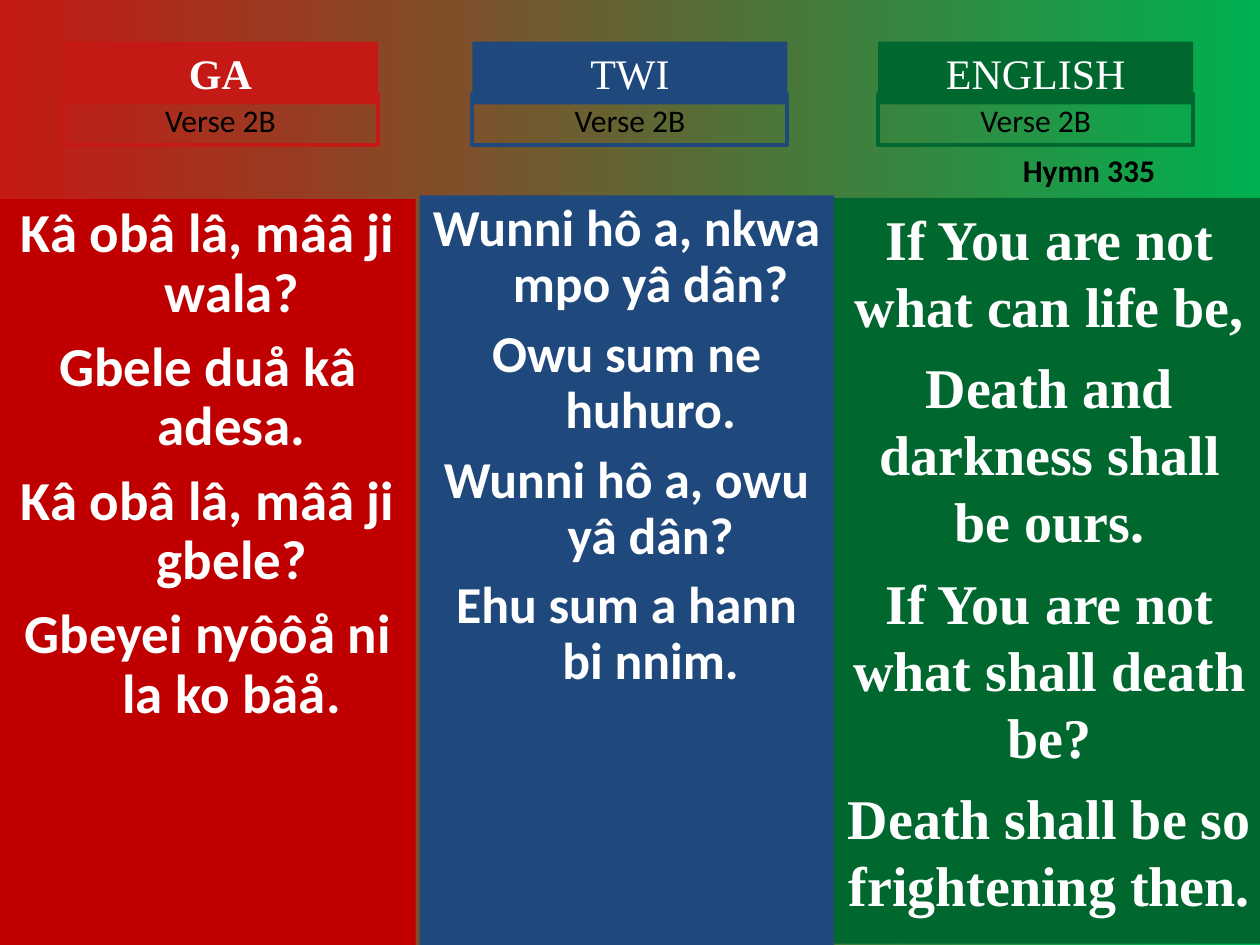
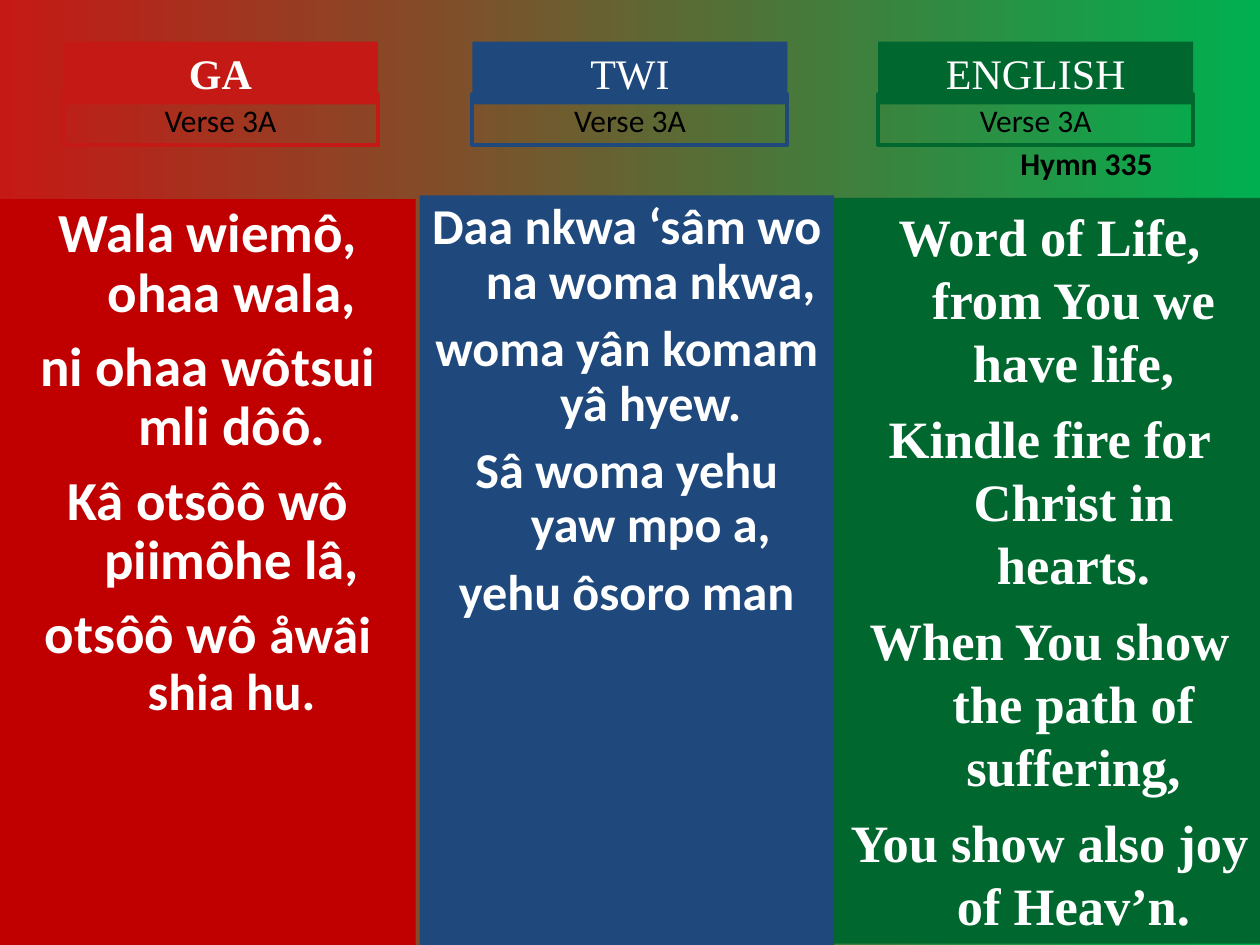
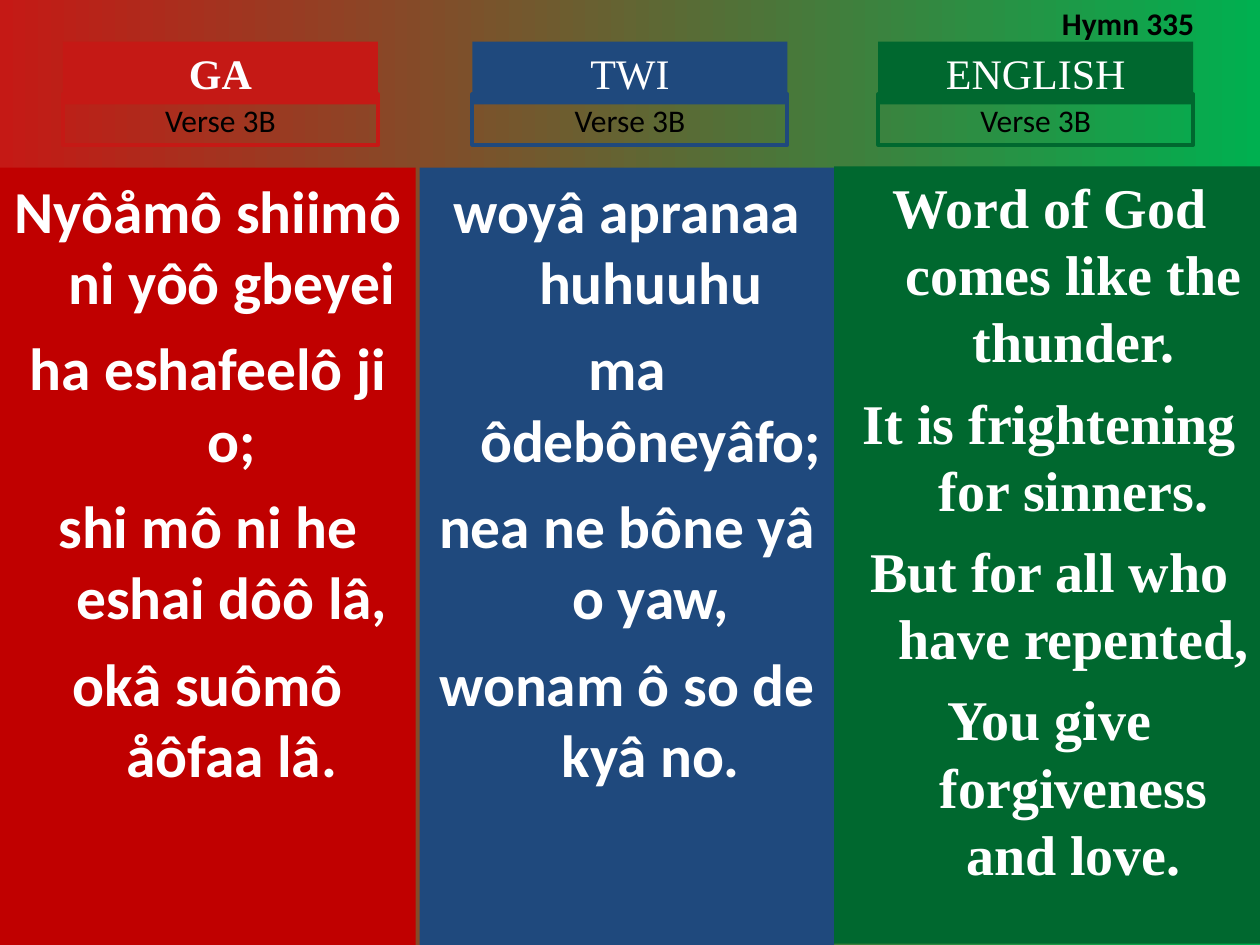
from dataclasses import dataclass

from pptx import Presentation
from pptx.dml.color import RGBColor
from pptx.enum.shapes import MSO_SHAPE
from pptx.enum.text import MSO_ANCHOR, MSO_AUTO_SIZE, PP_ALIGN
from pptx.presentation import Presentation as Deck
from pptx.shapes.autoshape import Shape
from pptx.slide import Slide
from pptx.util import Inches, Pt

SANS = "Calibri"
SERIF = "Times New Roman"
WHITE = "FFFFFF"
BLACK = "000000"
RED = "C51915"
DARK_RED = "C00000"
BLUE = "1F497D"
DARK_GREEN = "00682F"
BRIGHT_GREEN = "00B050"
HANGING = 0.38


@dataclass(frozen=True)
class Column:
    language: str
    label_left: float
    label_color: str
    label_bold: bool
    panel_left: float
    panel_width: float
    panel_bottom: float
    panel_color: str
    font: str


@dataclass(frozen=True)
class Lyrics:
    top: float
    size: float
    space: float
    lines: tuple[str, ...]
    line_spacing: float = 1.0
    hanging: float = HANGING
    small_ending: str = ""
    small_size: float = 29.6


@dataclass(frozen=True)
class Verse:
    name: str
    hymn_left: float
    hymn_top: float
    lyrics: tuple[Lyrics, Lyrics, Lyrics]


COLUMNS = (
    Column("GA", 0.5, RED, True, 0, 3.3, 7.5, DARK_RED, SANS),
    Column("TWI", 3.75, BLUE, False, 3.33, 3.29, 7.5, BLUE, SANS),
    Column("ENGLISH", 6.97, DARK_GREEN, False, 6.62, 3.42, 7.49, DARK_GREEN, SERIF),
)

VERSES = (
    Verse("Verse 2B", 8.02, 1.15, (
        Lyrics(1.58, 31.4, 8.5, (
            "Kâ obâ lâ, mââ ji wala?",
            "Gbele duå kâ adesa.",
            "Kâ obâ lâ, mââ ji gbele?",
            "Gbeyei nyôôå ni la ko bâå.",
        ), line_spacing=0.9),
        Lyrics(1.55, 29.6, 8, (
            "Wunni hô a, nkwa mpo yâ dân?",
            "Owu sum ne huhuro.",
            "Wunni hô a, owu yâ dân?",
            "Ehu sum a hann bi nnim.",
        ), line_spacing=0.9),
        Lyrics(1.57, 32, 8, (
            "If You are not what can life be,",
            "Death and darkness shall be ours.",
            "If You are not what shall death be?",
            "Death shall be so frightening then.",
        ), hanging=0),
    )),
    Verse("Verse 3A", 8, 1.09, (
        Lyrics(1.58, 31.4, 8.5, (
            "Wala wiemô, ohaa wala,",
            "ni ohaa wôtsui mli dôô.",
            "Kâ otsôô wô piimôhe lâ,",
            "otsôô wô ",
        ), line_spacing=0.9, small_ending="åwâi shia hu."),
        Lyrics(1.55, 28.7, 7.7, (
            "Daa nkwa ‘sâm wo na woma nkwa,",
            "woma yân komam yâ hyew.",
            "Sâ woma yehu yaw mpo a,",
            "yehu ôsoro man",
        ), line_spacing=0.9),
        Lyrics(1.57, 30, 7.5, (
            "Word of Life, from You we have life,",
            "Kindle fire for Christ in hearts.",
            "When You show the path of suffering,",
            "You show also joy of Heav’n.",
        )),
    )),
    Verse("Verse 3B", 8.33, -0.02, (
        Lyrics(1.33, 34, 8.5, (
            "Nyôåmô shiimô ni yôô gbeyei",
            "ha eshafeelô ji o;",
            "shi mô ni he eshai dôô lâ,",
            "okâ suômô åôfaa lâ.",
        )),
        Lyrics(1.33, 34, 8.5, (
            "woyâ apranaa huhuuhu",
            "ma ôdebôneyâfo;",
            "nea ne bône yâ o yaw,",
            "wonam ô so de kyâ no.",
        )),
        Lyrics(1.32, 32, 8, (
            "Word of God comes like the thunder.",
            "It is frightening for sinners.",
            "But for all who have repented,",
            "You give forgiveness and love.",
        )),
    )),
)


def rgb(color: str) -> RGBColor:
    return RGBColor.from_string(color)


def paint_background(deck: Deck) -> None:
    """Give every slide the red to green gradient through the master."""
    fill = deck.slide_master.background.fill
    fill.gradient()
    fill.gradient_angle = 0
    for stop, color in zip(fill.gradient_stops, (RED, BRIGHT_GREEN)):
        stop.color.rgb = rgb(color)


def add_box(page: Slide, left: float, top: float, width: float, height: float,
            fill: str = "", line: str = "") -> Shape:
    box = page.shapes.add_shape(MSO_SHAPE.RECTANGLE, Inches(left), Inches(top),
                                Inches(width), Inches(height))
    box.shadow.inherit = False
    if fill:
        box.fill.solid()
        box.fill.fore_color.rgb = rgb(fill)
    else:
        box.fill.background()
    if line:
        box.line.color.rgb = rgb(line)
        box.line.width = Pt(2.25)
    else:
        box.line.fill.background()
    box.text_frame.vertical_anchor = MSO_ANCHOR.TOP
    return box


def style(font, name: str, size: float, color: str, bold: bool) -> None:
    font.name = name
    font.size = Pt(size)
    font.color.rgb = rgb(color)
    font.bold = bold


def write_label(box: Shape, text: str, name: str, size: float, color: str,
                bold: bool = False, align: PP_ALIGN = PP_ALIGN.CENTER) -> None:
    frame = box.text_frame
    frame.word_wrap = True
    frame.auto_size = MSO_AUTO_SIZE.SHAPE_TO_FIT_TEXT
    para = frame.paragraphs[0]
    para.text = text
    para.alignment = align
    style(para.font, name, size, color, bold)


def write_lyrics(box: Shape, lyrics: Lyrics, font_name: str) -> None:
    frame = box.text_frame
    frame.word_wrap = True
    for index, line in enumerate(lyrics.lines):
        para = frame.add_paragraph() if index else frame.paragraphs[0]
        para.text = line
        para.alignment = PP_ALIGN.CENTER
        para.line_spacing = lyrics.line_spacing
        if index:
            para.space_before = Pt(lyrics.space)
        if lyrics.hanging:
            properties = para._p.get_or_add_pPr()
            properties.set("marL", str(Inches(lyrics.hanging)))
            properties.set("indent", str(-Inches(lyrics.hanging)))
        style(para.font, font_name, lyrics.size, WHITE, True)
    if lyrics.small_ending:
        span = para.add_run()
        span.text = lyrics.small_ending
        span.font.size = Pt(lyrics.small_size)


def add_column(page: Slide, column: Column, lyrics: Lyrics, verse_name: str) -> None:
    panel = add_box(page, column.panel_left, lyrics.top, column.panel_width,
                    column.panel_bottom - lyrics.top, fill=column.panel_color)
    write_lyrics(panel, lyrics, column.font)
    heading = add_box(page, column.label_left, 0.33, 2.5, 0.5, fill=column.label_color)
    write_label(heading, column.language, SERIF, 24, WHITE, column.label_bold)
    verse_box = add_box(page, column.label_left, 0.75, 2.5, 0.4, line=column.label_color)
    write_label(verse_box, verse_name, SANS, 18, BLACK)


def add_verse(deck: Deck, verse: Verse) -> None:
    page = deck.slides.add_slide(deck.slide_layouts[6])
    for column, lyrics in zip(COLUMNS, verse.lyrics):
        add_column(page, column, lyrics, verse.name)
    hymn = page.shapes.add_textbox(Inches(verse.hymn_left), Inches(verse.hymn_top),
                                   Inches(1.5), Inches(0.4))
    write_label(hymn, "Hymn 335", SANS, 18, BLACK, True, PP_ALIGN.LEFT)


def main() -> None:
    deck = Presentation()
    deck.slide_width = Inches(10)
    deck.slide_height = Inches(7.5)
    paint_background(deck)
    for verse in VERSES:
        add_verse(deck, verse)
    deck.save("out.pptx")


if __name__ == "__main__":
    main()
